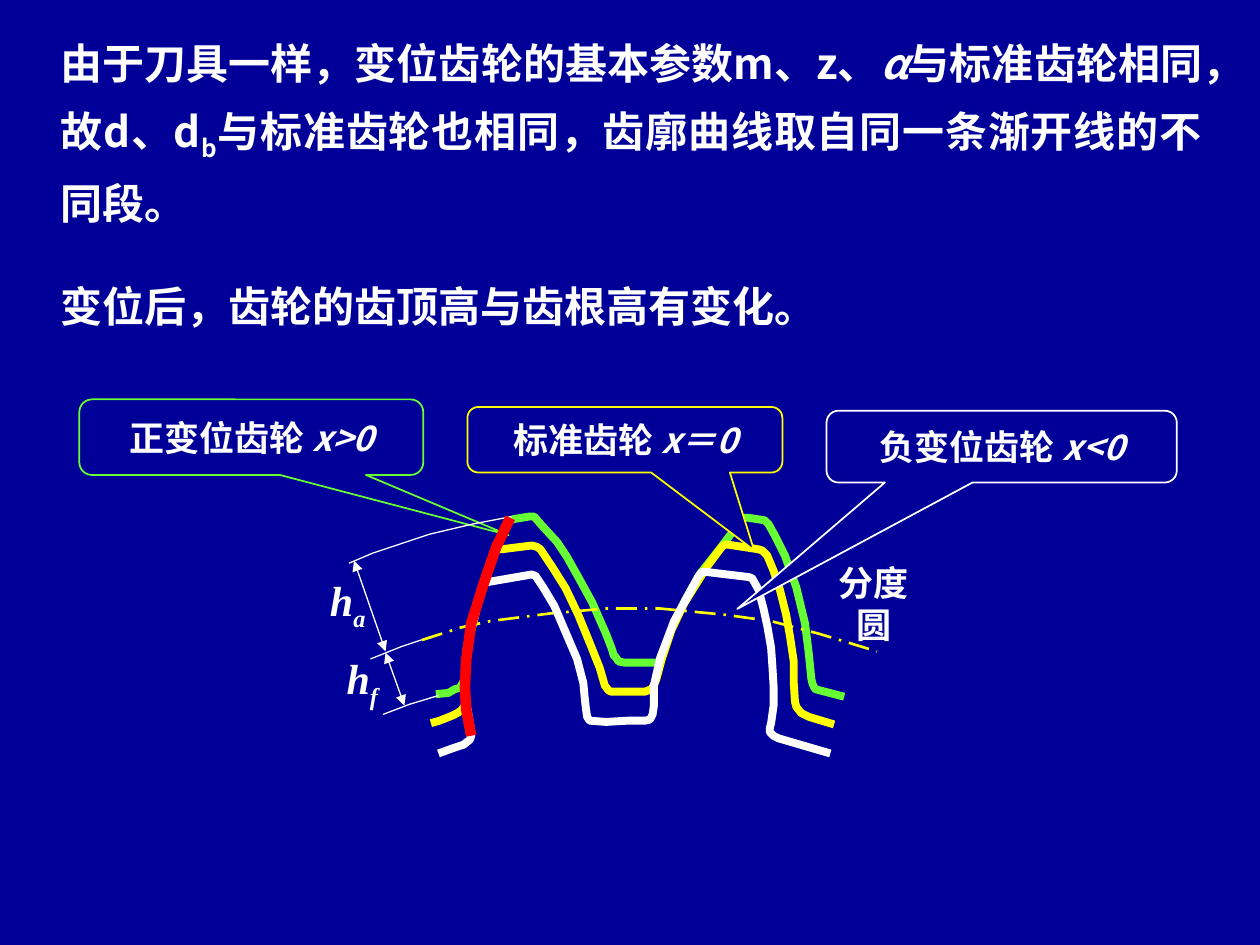
from collections import namedtuple

from lxml.etree import SubElement
from pptx import Presentation
from pptx.dml.color import RGBColor
from pptx.enum.dml import MSO_LINE
from pptx.enum.shapes import MSO_CONNECTOR, MSO_SHAPE
from pptx.enum.text import MSO_ANCHOR, MSO_AUTO_SIZE, PP_ALIGN
from pptx.oxml.ns import qn
from pptx.util import Inches, Pt

Box = namedtuple("Box", "left top width height")
Span = namedtuple("Span", "text italic subscript", defaults=(False, False))


class Theme:
    background = RGBColor(0x00, 0x00, 0x99)
    white = RGBColor(0xFF, 0xFF, 0xFF)
    green = RGBColor(0x66, 0xFF, 0x33)
    yellow = RGBColor(0xFF, 0xFF, 0x00)
    red = RGBColor(0xFF, 0x00, 0x00)
    sans = "Noto Sans CJK SC"
    serif = "Times New Roman"
    body_size = Pt(24)
    label_size = Pt(20)
    gear_line = Pt(4.5)
    flank_line = Pt(6)
    pitch_line = Pt(1.5)
    callout_line = Pt(1)
    thin_line = Pt(0.75)


# Outlines are in hundredths of an inch from the corner of the drawing's box.
POSITIVE_GEAR = [
    (146, 151), (156, 150), (161, 147), (165, 146), (169, 139), (170, 131), (170, 117),
    (172, 106), (176, 88), (181, 71), (189, 49), (198, 27), (203, 16), (205, 13), (208, 12),
    (220, 10), (224, 10), (230, 17), (242, 30), (250, 42), (259, 58), (270, 78), (281, 103),
    (286, 116), (287, 120), (289, 122), (291, 125), (296, 126), (323, 126), (325, 121),
    (328, 114), (334, 97), (344, 76), (356, 55), (371, 36), (387, 15), (389, 13), (391, 11),
    (394, 11), (407, 13), (410, 16), (415, 25), (423, 41), (432, 66), (439, 95), (442, 119),
    (444, 139), (445, 143), (447, 147), (470, 153)]
STANDARD_GEAR = [
    (142, 174), (149, 172), (159, 168), (163, 166), (166, 164), (169, 160), (170, 153),
    (169, 140), (170, 126), (172, 109), (177, 89), (182, 68), (193, 39), (195, 36), (198, 36),
    (222, 33), (226, 34), (229, 36), (239, 51), (249, 67), (259, 88), (268, 110), (276, 130),
    (280, 144), (283, 148), (285, 149), (312, 149), (317, 147), (319, 144), (321, 139),
    (325, 124), (333, 100), (343, 79), (361, 50), (373, 34), (376, 32), (402, 36), (405, 37),
    (409, 41), (414, 53), (419, 68), (424, 88), (427, 105), (430, 125), (430, 142),
    (431, 157), (432, 161), (436, 166), (442, 169), (462, 175)]
NEGATIVE_GEAR = [
    (148, 198), (159, 194), (165, 192), (168, 191), (173, 187), (174, 184), (174, 181),
    (173, 174), (169, 151), (169, 132), (172, 107), (178, 81), (183, 66), (185, 63), (187, 62),
    (222, 56), (225, 57), (231, 66), (240, 81), (249, 102), (258, 123), (263, 142), (264, 153),
    (265, 162), (266, 169), (268, 172), (281, 173), (298, 172), (312, 172), (316, 171),
    (318, 167), (319, 160), (319, 144), (324, 122), (335, 93), (354, 58), (357, 54), (361, 54),
    (394, 58), (397, 59), (402, 68), (406, 83), (409, 97), (412, 114), (413, 128), (414, 145),
    (414, 160), (412, 174), (411, 178), (411, 181), (414, 184), (418, 186), (459, 198)]
PITCH_CIRCLE = [(135, 108), (166, 98), (189, 93), (236, 87), (281, 83), (324, 83),
                (376, 88), (412, 93), (450, 103), (496, 117)]
TIP_ARC = [(206, 10), (175, 16), (141, 24), (96, 39), (77, 47)]
ROOT_ARC = [(148, 152), (125, 159), (104, 167)]
PITCH_ARC = [(143, 105), (119, 113), (94, 123)]
SHARED_FLANK = [(174, 184), (170, 163), (169, 146), (170, 124), (174, 95), (184, 63),
                (194, 34), (205, 11)]


def inches_box(left, top, width, height):
    return Box(Inches(left), Inches(top), Inches(width), Inches(height))


def inside(box, left, top, width, height):
    """Return a box whose corner is measured from the corner of another one."""
    part = inches_box(left, top, width, height)
    return part._replace(left=box.left + part.left, top=box.top + part.top)


def write_text(frame, spans, size, font, align):
    para = frame.paragraphs[0]
    para.alignment = align
    para.font.name = font
    para.font.size = size
    para.font.bold = True
    para.font.color.rgb = Theme.white
    east_asian = SubElement(para._p.pPr.find(qn("a:defRPr")), qn("a:ea"))
    east_asian.set("typeface", Theme.sans)
    for text, italic, subscript in spans:
        span = para.add_run()
        span.text = text
        if italic:
            span.font.italic = True
        if subscript:
            span._r.get_or_add_rPr().set("baseline", "-25000")
    return para


def draw_body(page, box, spans):
    frame = page.shapes.add_textbox(*box).text_frame
    frame.word_wrap = True
    para = write_text(frame, spans, Theme.body_size, Theme.sans, PP_ALIGN.JUSTIFY)
    para.line_spacing = 1.3


def draw_label(page, box, spans, size):
    frame = page.shapes.add_textbox(*box).text_frame
    frame.word_wrap = False
    frame.auto_size = MSO_AUTO_SIZE.SHAPE_TO_FIT_TEXT
    frame.vertical_anchor = MSO_ANCHOR.MIDDLE
    write_text(frame, spans, size, Theme.serif, PP_ALIGN.CENTER)


def style_shape(shape, colour, width, fill):
    shape.shadow.inherit = False
    shape.line.color.rgb = colour
    shape.line.width = width
    if fill is None:
        shape.fill.background()
    else:
        shape.fill.solid()
        shape.fill.fore_color.rgb = fill


def draw_curve(page, box, points, colour, width, fill=None):
    builder = page.shapes.build_freeform(*points[0], scale=Inches(0.01))
    builder.add_line_segments(points[1:], close=False)
    curve = builder.convert_to_shape(box.left, box.top)
    style_shape(curve, colour, width, fill)
    return curve


def draw_callout(page, box, tip, name, condition, colour, fill=None):
    callout = page.shapes.add_shape(MSO_SHAPE.ROUNDED_RECTANGULAR_CALLOUT, *box)
    callout.adjustments[0], callout.adjustments[1] = tip
    callout.adjustments[2] = 0.167
    style_shape(callout, colour, Theme.callout_line, fill)
    frame = callout.text_frame
    frame.word_wrap = True
    frame.vertical_anchor = MSO_ANCHOR.MIDDLE
    write_text(frame, [Span(name + " "), Span(condition, italic=True)],
               Theme.label_size, Theme.sans, PP_ALIGN.CENTER)


def draw_height(page, box, start, end, label_box, subscript):
    """Draw a double-headed dimension line and its symbol."""
    ends = [corner + Inches(offset) for point in (start, end)
            for corner, offset in zip((box.left, box.top), point)]
    arrow = page.shapes.add_connector(MSO_CONNECTOR.STRAIGHT, *ends)
    arrow.line.color.rgb = Theme.white
    arrow.line.width = Theme.thin_line
    properties = arrow._element.spPr
    for tag in ("a:headEnd", "a:tailEnd"):
        SubElement(properties.find(qn("a:ln")), qn(tag)).set("type", "triangle")
    SubElement(properties, qn("a:effectLst"))
    draw_label(page, inside(box, *label_box),
               [Span("h", italic=True), Span(subscript, italic=True, subscript=True)],
               Theme.body_size)


def draw_gears(page, box):
    """Draw three tooth profiles, back to front, with callouts and tooth heights."""
    draw_curve(page, box, POSITIVE_GEAR, Theme.green, Theme.gear_line)
    draw_callout(page, inside(box, -1.37, -0.83, 2.73, 0.6), (0.748, 1.296),
                 "正变位齿轮", "x>0", Theme.green)

    draw_curve(page, box, TIP_ARC, Theme.white, Theme.thin_line)
    draw_height(page, box, (0.81, 0.45), (1.06, 1.17), (0.52, 0.51, 0.48, 0.56), "a")
    for arc in (ROOT_ARC, PITCH_ARC):
        draw_curve(page, box, arc, Theme.white, Theme.thin_line)
    draw_height(page, box, (1.06, 1.18), (1.21, 1.6), (0.65, 1.13, 0.45, 0.56), "f")

    draw_curve(page, box, STANDARD_GEAR, Theme.yellow, Theme.gear_line, Theme.background)
    draw_callout(page, inside(box, 1.71, -0.77, 2.5, 0.52), (0.41, 1.685),
                 "标准齿轮", "x＝0", Theme.yellow, Theme.background)
    draw_label(page, inside(box, 4.42, 0.57, 1.03, 0.44), [Span("分度圆")], Theme.label_size)
    pitch = draw_curve(page, box, PITCH_CIRCLE, Theme.yellow, Theme.pitch_line)
    pitch.line.dash_style = MSO_LINE.LONG_DASH_DOT

    draw_curve(page, box, NEGATIVE_GEAR, Theme.white, Theme.gear_line)
    draw_callout(page, inside(box, 4.56, -0.74, 2.78, 0.57), (-0.755, 2.261),
                 "负变位齿轮", "x<0", Theme.white, Theme.background)
    draw_curve(page, box, SHARED_FLANK, Theme.red, Theme.flank_line)


def main():
    deck = Presentation()
    deck.slide_width, deck.slide_height = Inches(10), Inches(7.5)
    page = deck.slides.add_slide(deck.slide_layouts[6])
    page.background.fill.solid()
    page.background.fill.fore_color.rgb = Theme.background

    draw_body(page, inches_box(0.38, 0.13, 9.26, 1.73), [
        Span("由于刀具一样，变位齿轮的基本参数m、z、"), Span("α", italic=True),
        Span("与标准齿轮相同，故d、d"), Span("b", subscript=True),
        Span("与标准齿轮也相同，齿廓曲线取自同一条渐开线的不同段。")])
    draw_gears(page, inches_box(2, 4, 5, 2))
    draw_body(page, inches_box(0.38, 2.06, 9.26, 0.62),
              [Span("变位后，齿轮的齿顶高与齿根高有变化。")])
    deck.save("out.pptx")


if __name__ == "__main__":
    main()
